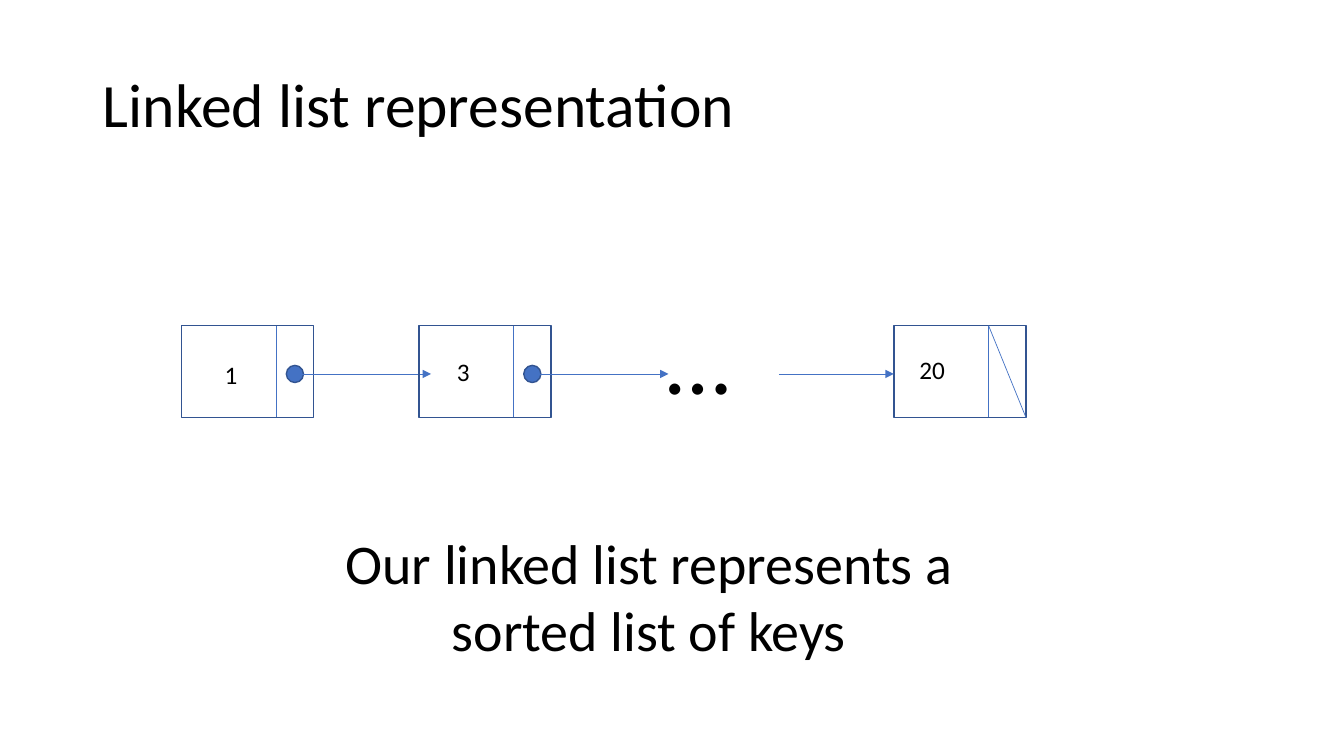
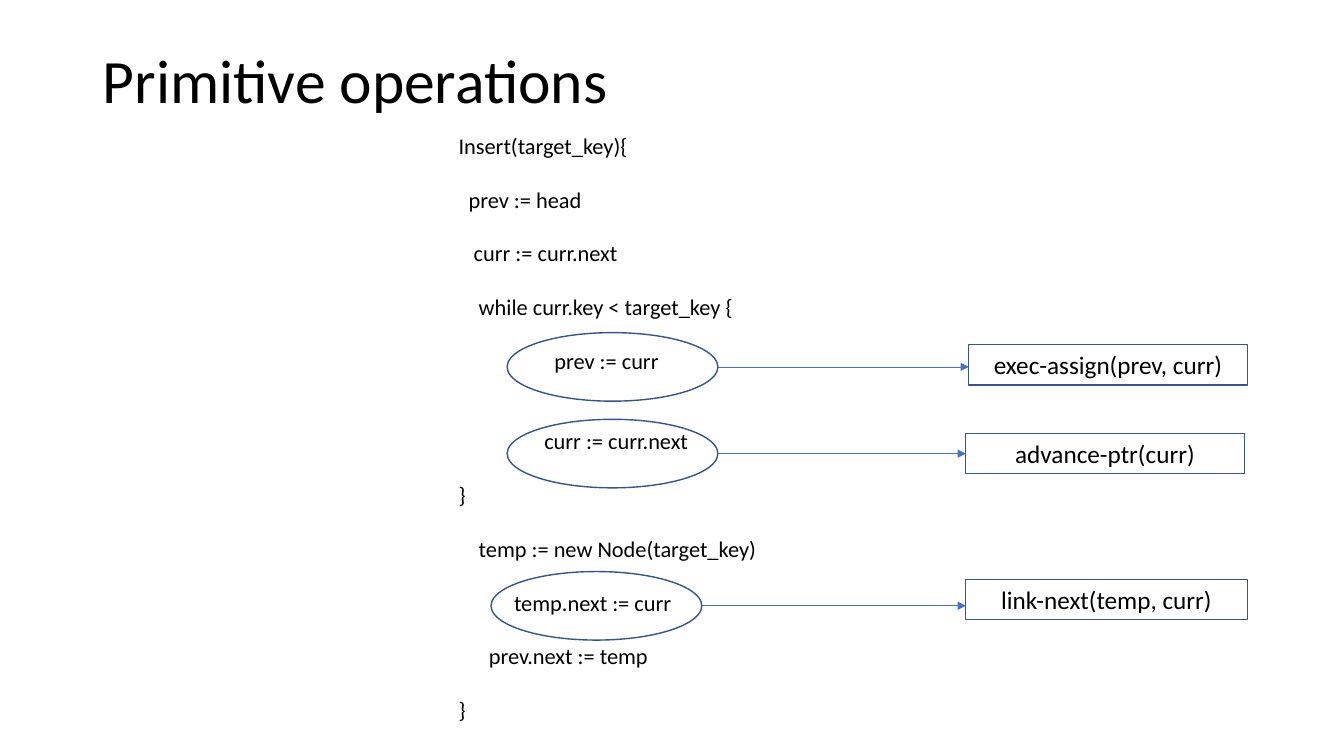
from dataclasses import dataclass

from lxml import etree
from pptx import Presentation
from pptx.dml.color import RGBColor as RGB
from pptx.enum.shapes import MSO_CONNECTOR as CONN, MSO_SHAPE as SHAPE
from pptx.enum.text import MSO_ANCHOR as ANCHOR, PP_ALIGN as ALIGN
from pptx.oxml.ns import qn
from pptx.util import Inches, Pt

# Content: key, column in the chain, label offset from the node's corner
NODES = [("1", 0, (0.15, 0.29)), ("3", 1, (0.1, 0.26)), ("20", 3, (0.04, 0.24))]
CAPTION = "Our linked list represents a sorted list of keys"

# Content: row of the listing, indent in steps, statement
CODE = [
    (0, 0, "Insert(target_key){"),
    (2, 2, "prev := head"),
    (4, 3, "curr := curr.next"),
    (6, 4, "while curr.key < target_key {"),
    (8, 19, "prev := curr"),
    (11, 17, "curr := curr.next"),
    (13, 0, "}"),
    (15, 4, "temp := new Node(target_key)"),
    (17, 11, "temp.next := curr"),
    (19, 6, "prev.next := temp"),
    (21, 0, "}"),
]
# Content: primitive, oval corner, box left, top and width
PRIMITIVES = [
    ("exec-assign(prev, curr)", (5.03, 3.3), (9.61, 3.42, 2.76)),
    ("advance-ptr(curr)", (5.03, 4.16), (9.58, 4.3, 2.76)),
    ("link-next(temp, curr)", (4.87, 5.67), (9.58, 5.75, 2.79)),
]


@dataclass(frozen=True)
class Theme:
    font: str = "Calibri"
    ink: str = "000000"
    accent: str = "4472C4"
    edge: str = "325491"
    title: int = 44
    caption: int = 40
    ellipsis: int = 66
    label: int = 18
    code: int = 16
    thin: float = 0.5
    medium: float = 0.75
    thick: float = 1


T = Theme()
LEFT, WIDTH = 0.92, 11.5              # title column
CHAIN_X, CHAIN_Y, PITCH = 1.8, 3.23, 2.355
NODE_W, NODE_H, KEY_W = 1.31, 0.91, 0.94
DOT, WIRE_Y = 0.17, 3.71
OVAL_W, OVAL_H, BOX_H = 2.09, 0.68, 0.4
ROW_PT, INDENT = 19.2, 0.05           # listing grid

prs = Presentation()
prs.slide_width, prs.slide_height = Inches(13.33), Inches(7.5)


def write(tf, lines, size, align=ALIGN.LEFT):
    tf.word_wrap = True
    for i, line in enumerate(lines):
        p = tf.paragraphs[0] if i == 0 else tf.add_paragraph()
        p.text, p.alignment = line, align
        for r in p.runs:
            r.font.size, r.font.name = Pt(size), T.font
            r.font.color.rgb = RGB.from_string(T.ink)


def add_slide(title, top, height):
    s = prs.slides.add_slide(prs.slide_layouts[5])
    sp = s.shapes.title
    sp.left, sp.top, sp.width, sp.height = map(Inches, (LEFT, top, WIDTH, height))
    tf = sp.text_frame
    write(tf, [title], T.title)
    tf.vertical_anchor = ANCHOR.MIDDLE
    tf.paragraphs[0].line_spacing = 0.9
    return s


def add_text(s, box, lines, size, align=ALIGN.LEFT):
    tf = s.shapes.add_textbox(*map(Inches, box)).text_frame
    write(tf, lines, size, align)
    return tf


def add_shape(s, kind, box, weight=T.thick, fill=None):
    sp = s.shapes.add_shape(kind, *map(Inches, box))
    sp.shadow.inherit = False
    sp.line.color.rgb, sp.line.width = RGB.from_string(T.edge), Pt(weight)
    if fill:
        sp.fill.solid()
        sp.fill.fore_color.rgb = RGB.from_string(fill)
    else:
        sp.fill.background()
    return sp


def add_line(s, x1, y1, x2, y2, arrow=False):
    c = s.shapes.add_connector(CONN.STRAIGHT, *map(Inches, (x1, y1, x2, y2)))
    c.line.color.rgb, c.line.width = RGB.from_string(T.accent), Pt(T.thin)
    if arrow:
        etree.SubElement(c.line._get_or_add_ln(), qn("a:tailEnd"), type="triangle")
    etree.SubElement(c._element.spPr, qn("a:effectLst"))


# Slide 1: chain of nodes
s = add_slide("Linked list representation", 0.34, 1.45)
last = NODES[-1]
for key, col, (dx, dy) in NODES:
    x, bottom = CHAIN_X + col * PITCH, CHAIN_Y + NODE_H
    split = x + KEY_W
    add_shape(s, SHAPE.RECTANGLE, (x, CHAIN_Y, NODE_W, NODE_H))
    add_line(s, split, CHAIN_Y, split, bottom)
    if key == last[0]:                # null pointer and the arrow leading in
        add_line(s, split, CHAIN_Y, x + NODE_W, bottom)
        add_line(s, x - 1.14, WIRE_Y, x, WIRE_Y, arrow=True)
    else:
        add_shape(s, SHAPE.OVAL, (split + 0.1, WIRE_Y - DOT / 2, DOT, DOT), fill=T.accent)
        add_line(s, split + 0.15, WIRE_Y, x + PITCH + 0.12, WIRE_Y, arrow=True)
    add_text(s, (x + dx, CHAIN_Y + dy, 0.68, 0.4), [key], T.label, ALIGN.CENTER)
add_text(s, (6.51, 2.95, 1.03, 1.51), ["…"], T.ellipsis)
add_text(s, (2.74, 5.19, 7.39, 1.45), [CAPTION], T.caption, ALIGN.CENTER)

# Slide 2: listing, indented and spaced by its grid
s = add_slide("Primitive operations", 0.4, 0.86)
tf = add_text(s, (4.45, 1.26, 4.06, 6.2), [line for _, _, line in CODE], T.code)
previous = -1
for p, (row, steps, _) in zip(tf.paragraphs, CODE):
    p.space_before = Pt((row - previous - 1) * ROW_PT)
    p._p.get_or_add_pPr().set("marL", str(Inches(steps * INDENT)))
    previous = row

# Slide 2: marked statements and their primitives
for name, (x, y), (box_x, box_y, box_w) in PRIMITIVES:
    middle = y + OVAL_H / 2
    add_shape(s, SHAPE.OVAL, (x, y, OVAL_W, OVAL_H))
    add_line(s, x + OVAL_W, middle, box_x, middle, arrow=True)
    sp = add_shape(s, SHAPE.RECTANGLE, (box_x, box_y, box_w, BOX_H), T.medium)
    write(sp.text_frame, [name], T.label, ALIGN.CENTER)

prs.save("out.pptx")
